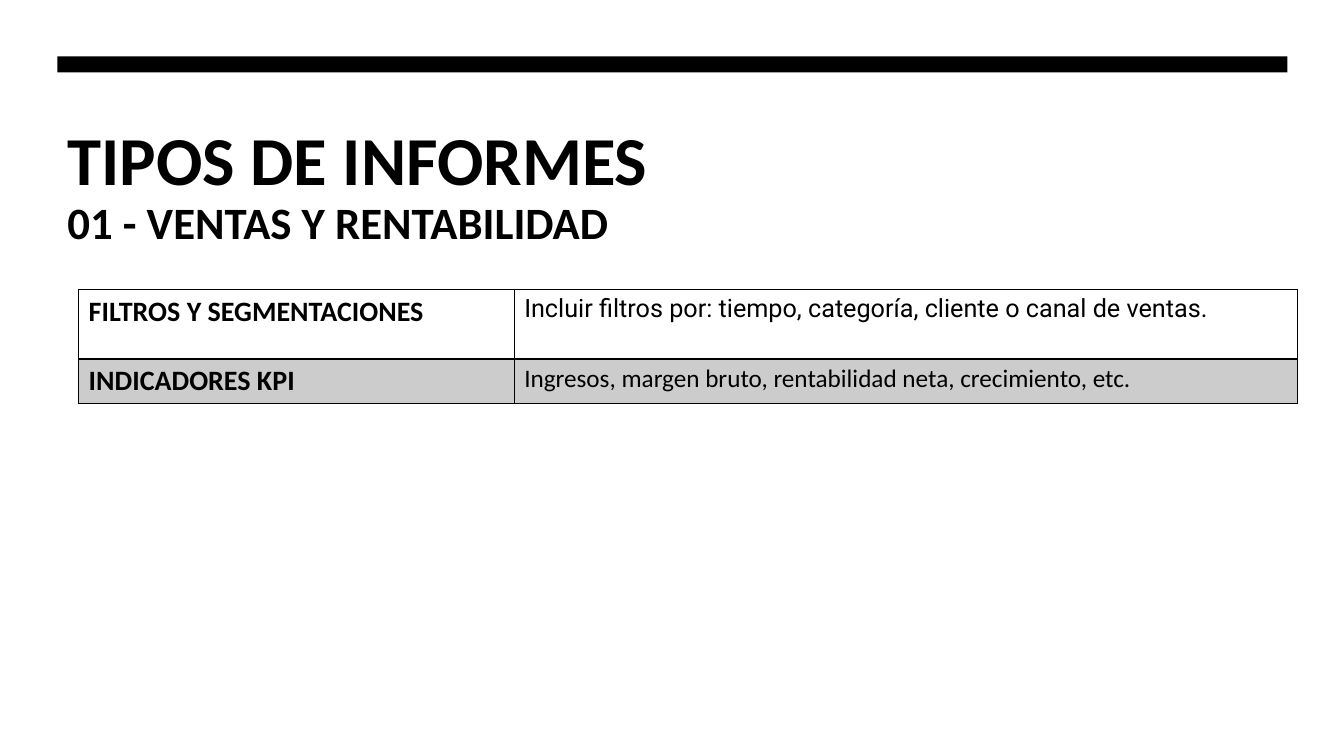
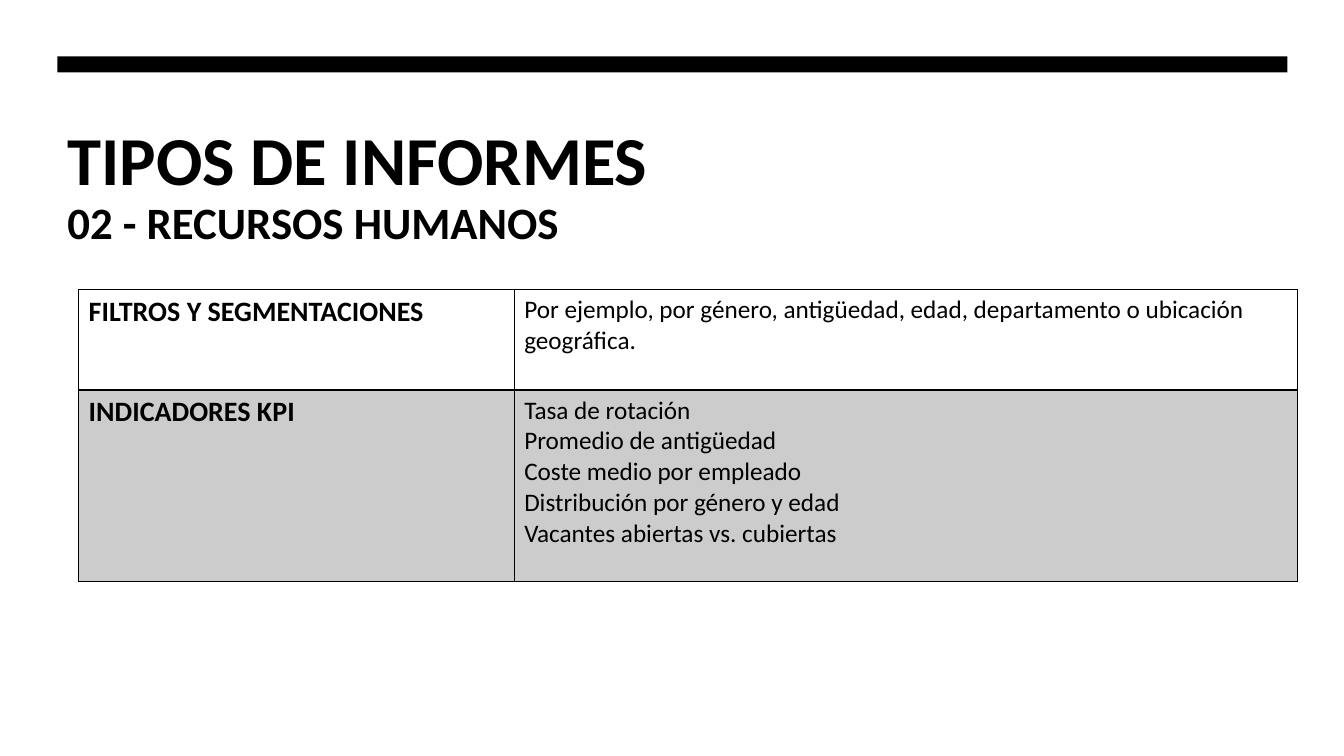
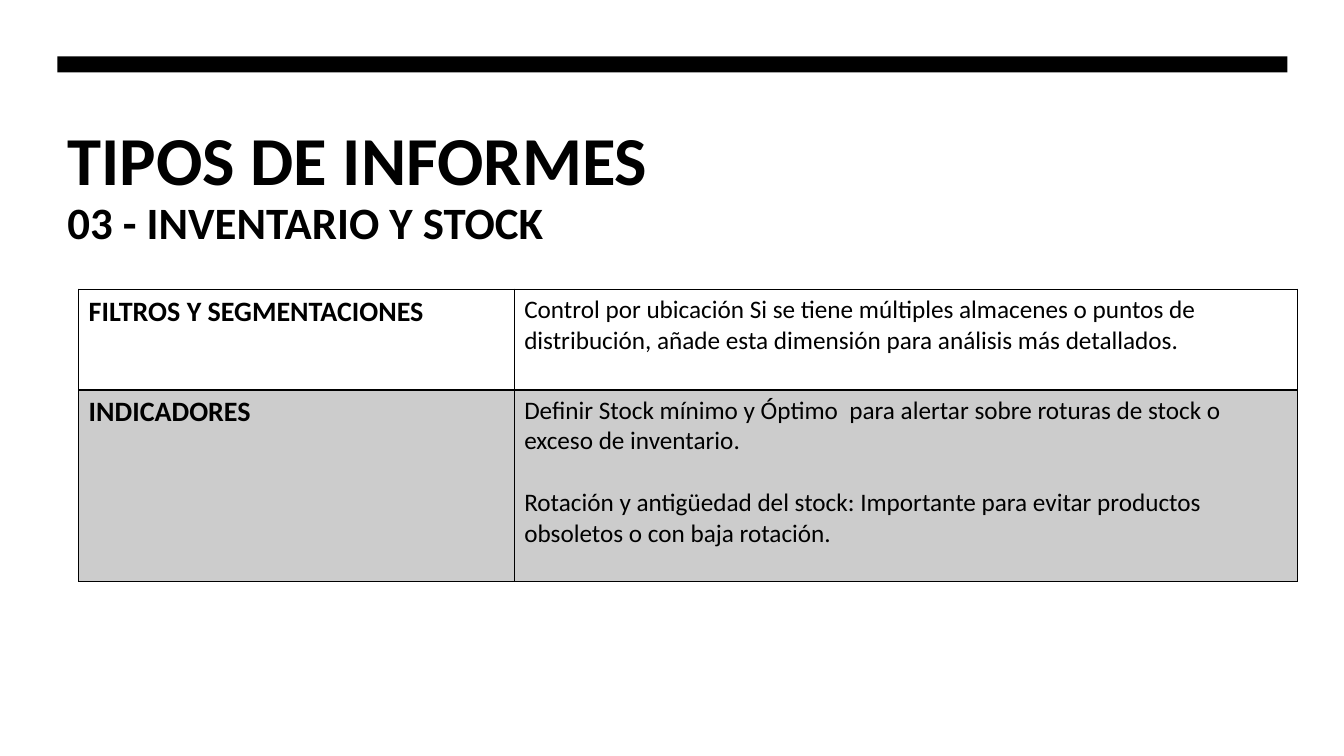
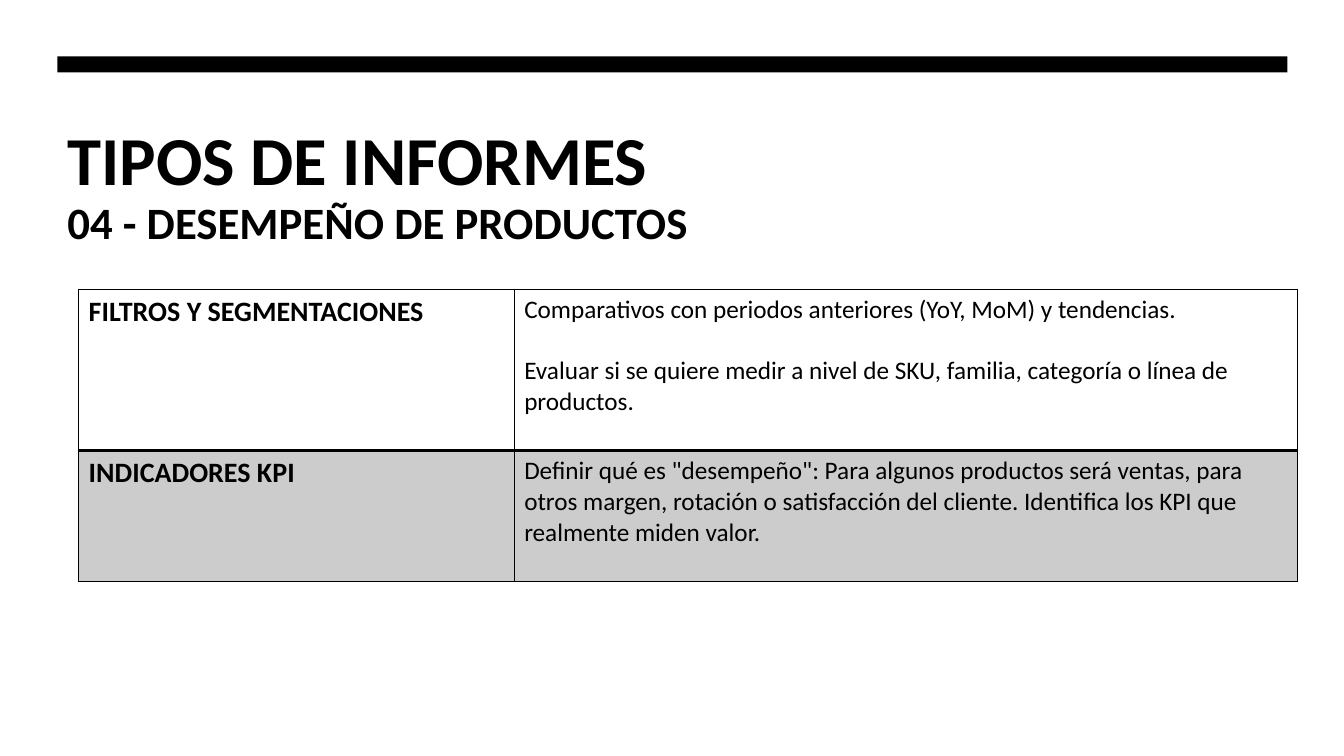
"""Build four slides on report types, each with a table of filters and indicators."""
import dataclasses

import pptx
import pptx.dml.color
import pptx.enum.shapes
import pptx.enum.text
import pptx.oxml
import pptx.oxml.ns
import pptx.util

Inches = pptx.util.Inches
Pt = pptx.util.Pt
RGBColor = pptx.dml.color.RGBColor


@dataclasses.dataclass(frozen=True)
class Theme:
    ink: str = "000000"
    paper: str = "FFFFFF"
    shade: str = "CCCCCC"
    font: str = "Calibri"
    title: int = 49
    subtitle: int = 32
    label: int = 20
    body: int = 18
    paragraph_gap: int = 22


THEME = Theme()
TITLE = "TIPOS DE INFORMES"
FILTERS = "FILTROS Y SEGMENTACIONES"
KPI = "INDICADORES KPI"

REPORTS = [
    {
        "subtitle": "01 - VENTAS Y RENTABILIDAD",
        "heights": (0.69, 0.44),
        "filter_font": "Roboto",
        "rows": [
            (FILTERS, ["Incluir filtros por: tiempo, categoría, cliente o canal de ventas."]),
            (KPI, ["Ingresos, margen bruto, rentabilidad neta, crecimiento, etc."]),
        ],
    },
    {
        "subtitle": "02 - RECURSOS HUMANOS",
        "heights": (1.0, 1.9),
        "rows": [
            (FILTERS, ["Por ejemplo, por género, antigüedad, edad, departamento o ubicación geográfica."]),
            (KPI, [
                "Tasa de rotación",
                "Promedio de antigüedad",
                "Coste medio por empleado",
                "Distribución por género y edad",
                "Vacantes abiertas vs. cubiertas",
            ]),
        ],
        "gap": 0,
    },
    {
        "subtitle": "03 - INVENTARIO Y STOCK",
        "heights": (1.0, 1.9),
        "rows": [
            (FILTERS, ["Control por ubicación Si se tiene múltiples almacenes o puntos de distribución, "
                       "añade esta dimensión para análisis más detallados."]),
            ("INDICADORES", [
                "Definir Stock mínimo y Óptimo  para alertar sobre roturas de stock o exceso de inventario.",
                "Rotación y antigüedad del stock: Importante para evitar productos obsoletos "
                "o con baja rotación.",
            ]),
        ],
    },
    {
        "subtitle": "04 - DESEMPEÑO DE PRODUCTOS",
        "heights": (1.6, 1.3),
        "rows": [
            (FILTERS, [
                "Comparativos con periodos anteriores (YoY, MoM) y tendencias.",
                "Evaluar si se quiere medir a nivel de SKU, familia, categoría o línea de productos.",
            ]),
            (KPI, ['Definir qué es "desempeño": Para algunos productos será ventas, para otros margen, '
                   "rotación o satisfacción del cliente. Identifica los KPI que realmente miden valor."]),
        ],
    },
]

LEFT, WIDTH = 0.57, 12.2
TABLE_LEFT, TABLE_TOP = 0.78, 2.87
COLUMNS = (4.32, 7.77)
ROW_FILLS = (THEME.paper, THEME.shade)
ROW_BORDERS = (
    {"lnL": 1, "lnR": 1, "lnT": 1, "lnB": 2},
    {"lnL": 1, "lnR": 1, "lnT": 1, "lnB": 1},
)


def write(frame, paragraphs, size, bold=False, font=THEME.font, gap=0):
    frame.word_wrap = True
    frame.vertical_anchor = pptx.enum.text.MSO_ANCHOR.TOP
    for index, text in enumerate(paragraphs):
        paragraph = frame.add_paragraph() if index else frame.paragraphs[0]
        paragraph.text = text
        paragraph.alignment = pptx.enum.text.PP_ALIGN.LEFT
        paragraph.space_before = Pt(gap if index else 0)
        paragraph.font.name = font
        paragraph.font.size = Pt(size)
        paragraph.font.bold = bold
        paragraph.font.color.rgb = RGBColor.from_string(THEME.ink)


def add_borders(cell, borders):
    properties = cell._tc.get_or_add_tcPr()
    for side, points in borders.items():
        properties.append(pptx.oxml.parse_xml(
            f'<a:{side} {pptx.oxml.ns.nsdecls("a")} w="{Pt(points)}"><a:solidFill>'
            f'<a:srgbClr val="{THEME.ink}"/></a:solidFill></a:{side}>'))


def add_band(slide, layout):
    band = slide.shapes.add_shape(
        pptx.enum.shapes.MSO_SHAPE.RECTANGLE, Inches(LEFT), Inches(0.56), Inches(WIDTH), Inches(0.16))
    band.shadow.inherit = False
    band.fill.solid()
    band.fill.fore_color.rgb = RGBColor.from_string(THEME.ink)
    band.line.fill.background()
    layout.shapes.element.append(band.element)


def add_headings(slide, subtitle):
    title = slide.shapes.title
    title.left, title.top = Inches(LEFT), Inches(1.07)
    title.width, title.height = Inches(WIDTH), Inches(0.82)
    title.text_frame.auto_size = pptx.enum.text.MSO_AUTO_SIZE.NONE
    title.text_frame.margin_top = Inches(0.09)
    title.text_frame.margin_bottom = 0
    write(title.text_frame, [TITLE], THEME.title, bold=True)
    section = slide.shapes.add_textbox(Inches(LEFT), Inches(1.88), Inches(WIDTH), Inches(0.64))
    write(section.text_frame, [subtitle], THEME.subtitle, bold=True)


def add_report_table(slide, report):
    heights = report["heights"]
    table = slide.shapes.add_table(
        len(heights), len(COLUMNS), Inches(TABLE_LEFT), Inches(TABLE_TOP),
        Inches(sum(COLUMNS)), Inches(sum(heights))).table
    table.first_row = table.horz_banding = False
    for column, width in zip(table.columns, COLUMNS):
        column.width = Inches(width)
    fonts = (report.get("filter_font", THEME.font), THEME.font)
    for index, (label, details) in enumerate(report["rows"]):
        table.rows[index].height = Inches(heights[index])
        label_cell, detail_cell = table.rows[index].cells
        for cell in (label_cell, detail_cell):
            add_borders(cell, ROW_BORDERS[index])
            cell.fill.solid()
            cell.fill.fore_color.rgb = RGBColor.from_string(ROW_FILLS[index])
        write(label_cell.text_frame, [label], THEME.label, bold=True)
        write(detail_cell.text_frame, details, THEME.body, font=fonts[index],
              gap=report.get("gap", THEME.paragraph_gap))


def main():
    deck = pptx.Presentation()
    deck.slide_width, deck.slide_height = Inches(13.33), Inches(7.5)
    layout = deck.slide_layouts.get_by_name("Title Only")
    for index, report in enumerate(REPORTS):
        slide = deck.slides.add_slide(layout)
        if index == 0:
            add_band(slide, layout)
        add_headings(slide, report["subtitle"])
        add_report_table(slide, report)
    deck.save("out.pptx")


if __name__ == "__main__":
    main()
